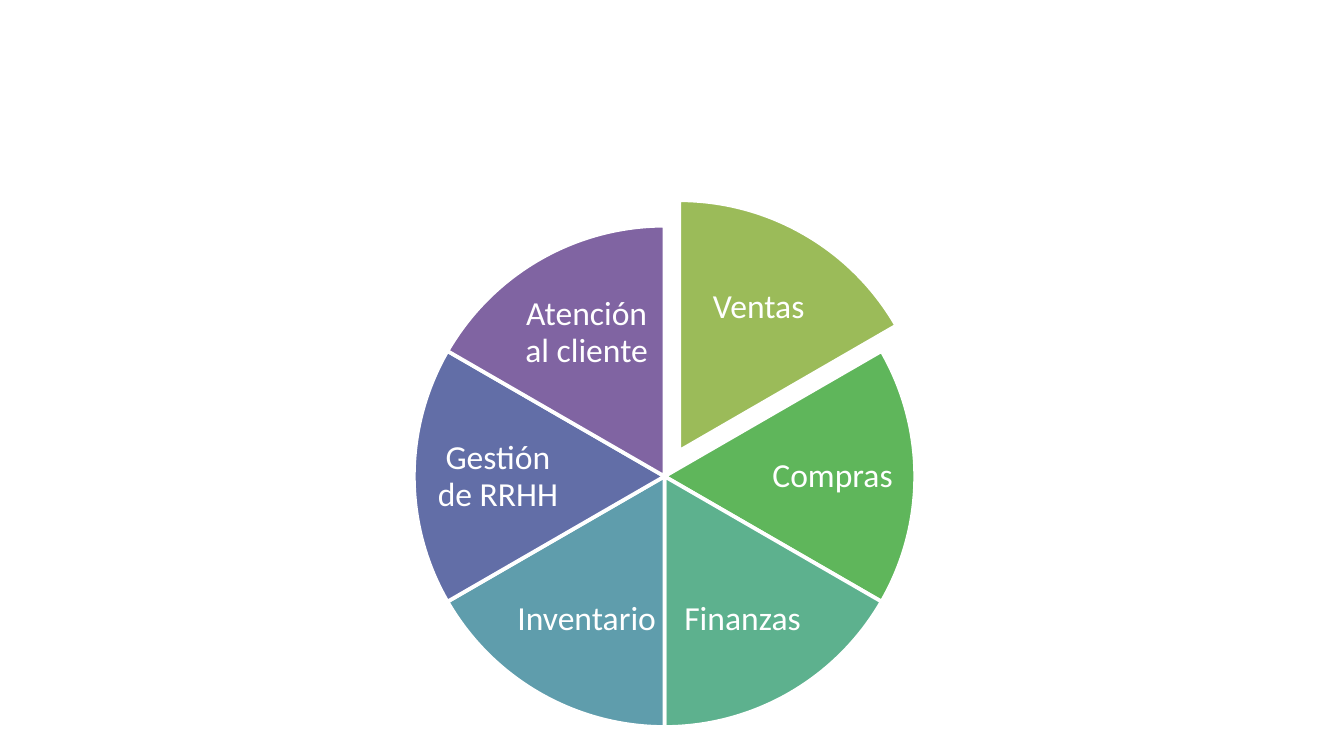
from pptx import Presentation
from pptx.dml.color import RGBColor
from pptx.enum.shapes import MSO_SHAPE
from pptx.enum.text import MSO_ANCHOR, PP_ALIGN
from pptx.util import Inches, Pt

COLORS = {
    "white": "FFFFFF",
    "lime": "9BBB59",
    "green": "5FB65B",
    "mint": "5DB18E",
    "teal": "5F9DAC",
    "blue": "626EA7",
    "purple": "8064A2",
}
SIZE = 3.73
HOME = (3.08, 1.68)
PULLED = (3.19, 1.49)
TALL = (1.09, 0.8)
WIDE = (1.13, 0.76)
SLICES = [
    ("Ventas", "lime", PULLED, (5.1, 1.89), TALL),
    ("Compras", "green", HOME, (5.63, 3.17), WIDE),
    ("Finanzas", "mint", HOME, (4.98, 4.21), TALL),
    ("Inventario", "teal", HOME, (3.82, 4.21), TALL),
    ("Gestión de RRHH", "blue", HOME, (3.14, 3.17), WIDE),
    ("Atención al cliente", "purple", HOME, (3.82, 2.08), TALL),
]


def paint(color):
    """Return the named colour."""
    return RGBColor.from_string(COLORS[color])


def add_slice(group, start, sweep, place, color):
    """Draw a pie slice, with angles in degrees clockwise from the right."""
    left, top = place
    pie = group.shapes.add_shape(
        MSO_SHAPE.PIE, Inches(left), Inches(top), Inches(SIZE), Inches(SIZE)
    )
    for index, angle in enumerate((start, start + sweep)):
        pie.adjustments[index] = angle % 360 * 0.6
    pie.shadow.inherit = False
    pie.fill.solid()
    pie.fill.fore_color.rgb = paint(color)
    pie.line.color.rgb = paint("white")
    pie.line.width = Pt(2)


def add_label(group, text, place, area, size=18, color="white", font="Calibri"):
    """Write a centred label that wraps inside its area."""
    box = group.shapes.add_textbox(*map(Inches, place + area))
    frame = box.text_frame
    frame.word_wrap = True
    frame.vertical_anchor = MSO_ANCHOR.MIDDLE
    frame.margin_left = frame.margin_right = Inches(0.02)
    frame.margin_top = frame.margin_bottom = Inches(0.02)
    line = frame.paragraphs[0]
    line.alignment = PP_ALIGN.CENTER
    line.line_spacing = 0.9
    run = line.add_run()
    run.text = text
    run.font.name = font
    run.font.size = Pt(size)
    run.font.color.rgb = paint(color)


def main():
    """Build the widescreen slide with its six-part wheel."""
    deck = Presentation()
    deck.slide_width = Inches(10)
    deck.slide_height = Inches(10) * 9 // 16
    slide = deck.slides.add_slide(deck.slide_layouts[6])
    wheel = slide.shapes.add_group_shape()
    sweep = 360 / len(SLICES)
    for index, (text, color, place, spot, area) in enumerate(SLICES):
        add_slice(wheel, 270 + index * sweep, sweep, place, color)
        add_label(wheel, text, spot, area)
    deck.save("out.pptx")


if __name__ == "__main__":
    main()
